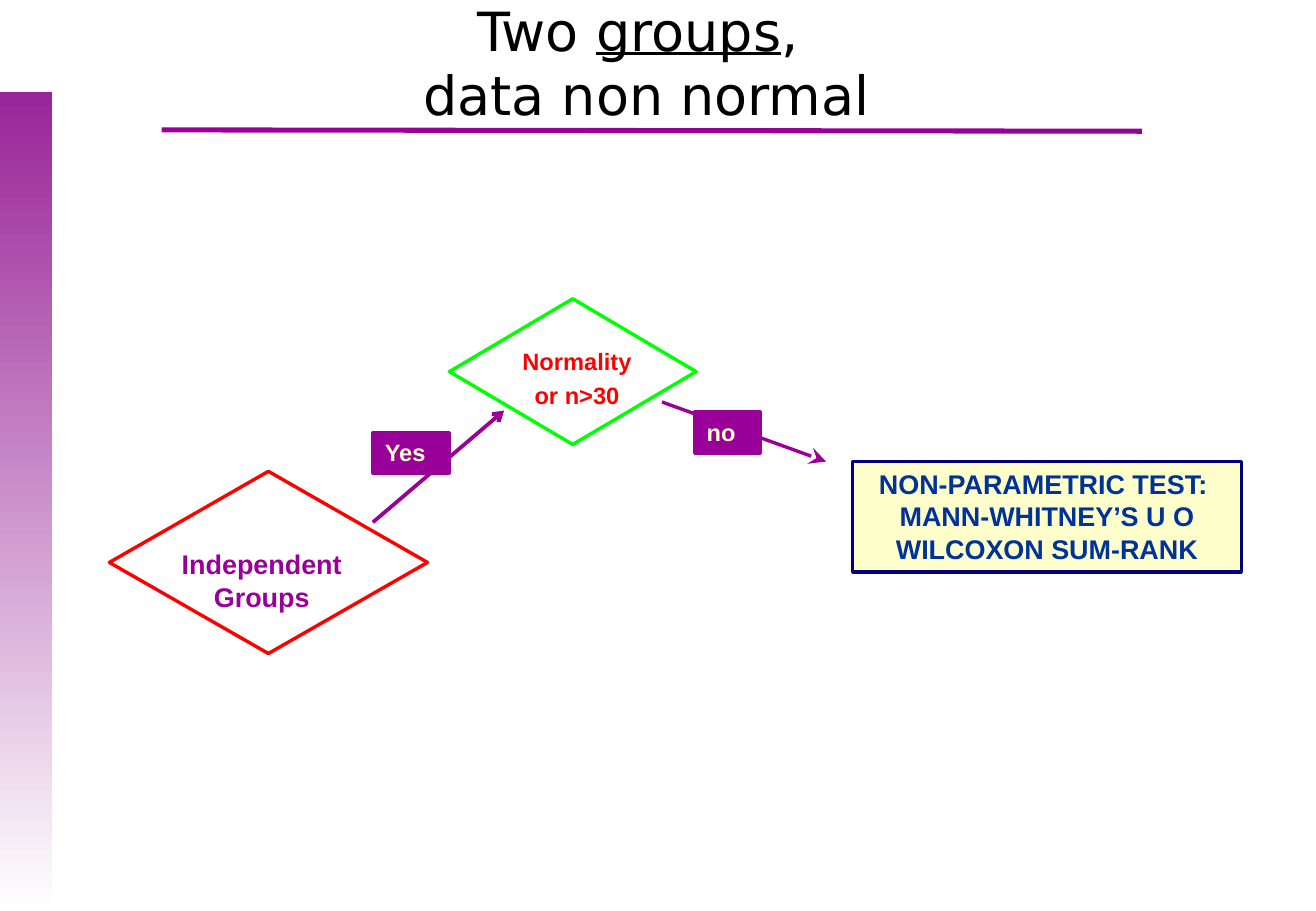
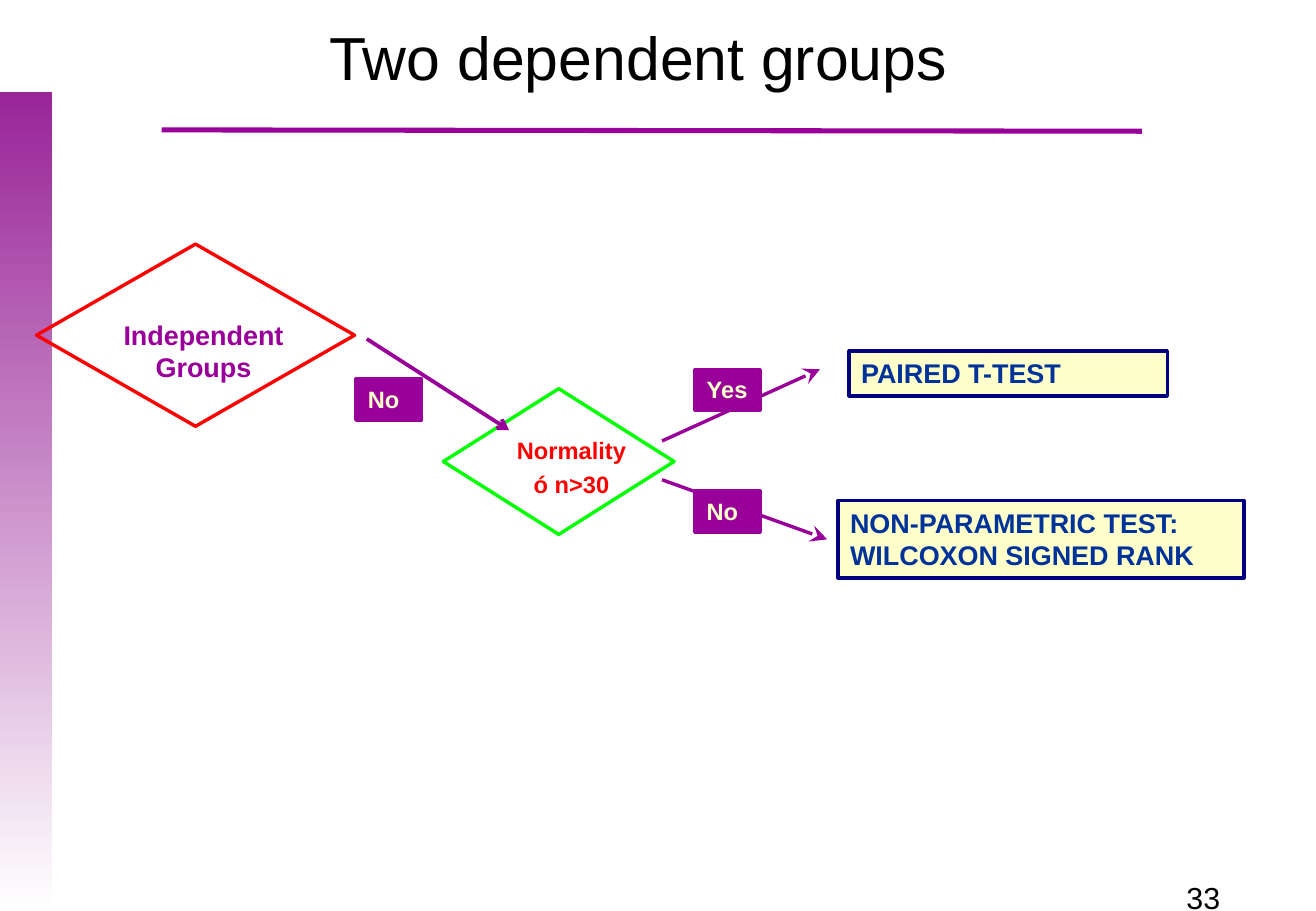
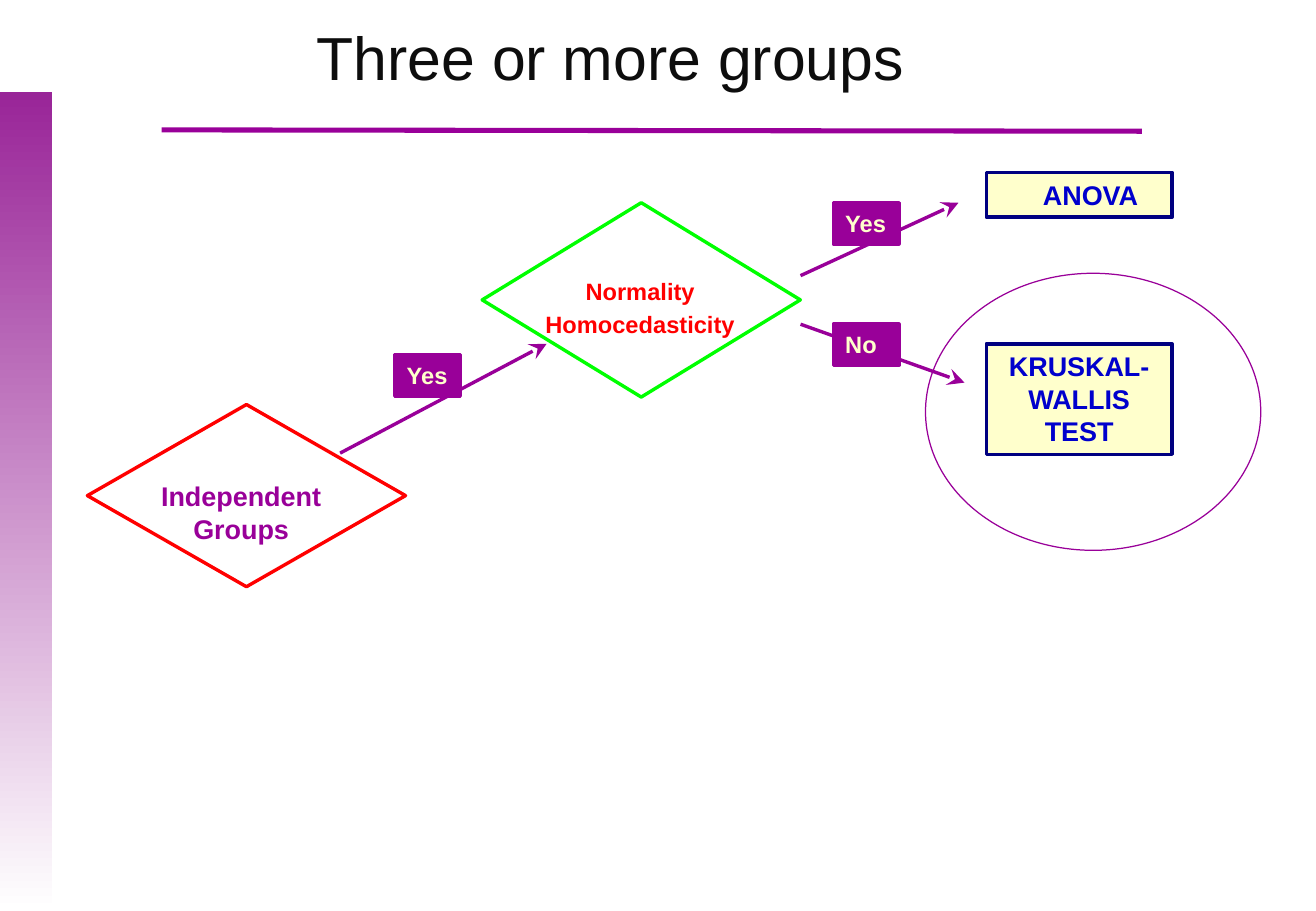
from lxml import etree
from pptx import Presentation
from pptx.dml.color import RGBColor
from pptx.enum import shapes, text
from pptx.oxml import ns
from pptx.util import Pt

PURPLE = RGBColor(0x99, 0x00, 0x99)
BAND_TOP = RGBColor(0x99, 0x25, 0x98)
WHITE = RGBColor(0xFF, 0xFF, 0xFF)
CREAM = RGBColor(0xFF, 0xFF, 0xCC)
NAVY = RGBColor(0x00, 0x00, 0x80)
BLUE = RGBColor(0x00, 0x33, 0x99)
BRIGHT_BLUE = RGBColor(0x00, 0x00, 0xCC)
RED = RGBColor(0xFF, 0x00, 0x00)
GREEN = RGBColor(0x00, 0xFF, 0x00)
BLACK = RGBColor(0x00, 0x00, 0x00)
NEAR_BLACK = RGBColor(0x0D, 0x0D, 0x0D)

BODY_FONT = {"name": "Arial", "size": Pt(16), "bold": True}
SMALL_FONT = {**BODY_FONT, "size": Pt(14)}
TITLE_FONT = {"name": "Arial", "size": Pt(36)}
NUMBER_FONT = {"name": "Arial", "size": Pt(18)}
TOP_FRAME = {"word_wrap": True, "vertical_anchor": text.MSO_ANCHOR.TOP}
MIDDLE_FRAME = {"word_wrap": True, "vertical_anchor": text.MSO_ANCHOR.MIDDLE}
LEFT, CENTER = text.PP_ALIGN.LEFT, text.PP_ALIGN.CENTER

GROUPS_SIZE = (188.6, 108)
LABEL_HEIGHT = 24.5


def apply(target, values):
    for name, value in values.items():
        setattr(target, name, value)


def write(shape, paragraphs, font, color, align=CENTER, frame=TOP_FRAME):
    """Fill a shape with text; \\n breaks a line and _word_ is underlined."""
    text_frame = shape.text_frame
    apply(text_frame, frame)
    for number, content in enumerate(paragraphs):
        paragraph = text_frame.add_paragraph() if number else text_frame.paragraphs[0]
        paragraph.alignment = align
        if number:
            paragraph.space_before = Pt(3)
        for row, line in enumerate(content.split("\n")):
            if row:
                paragraph.add_line_break()
            for position, part in enumerate(line.split("_")):
                if part:
                    run = paragraph.add_run()
                    run.text = part
                    apply(run.font, font)
                    run.font.color.rgb = color
                    if position % 2:
                        run.font.underline = True


def add_text(slide, box, paragraphs, font, color, **layout):
    write(slide.shapes.add_textbox(*map(Pt, box)), paragraphs, font, color, **layout)


def add_outline(slide, kind, box, line_color, width=2, fill=None):
    shape = slide.shapes.add_shape(kind, *map(Pt, box))
    shape.shadow.inherit = False
    shape.line.color.rgb = line_color
    shape.line.width = Pt(width)
    if fill is None:
        shape.fill.background()
    else:
        shape.fill.solid()
        shape.fill.fore_color.rgb = fill
    return shape


def add_line(slide, start, end, width):
    line = slide.shapes.add_connector(
        shapes.MSO_CONNECTOR.STRAIGHT, *map(Pt, (*start, *end)))
    line.line.color.rgb = PURPLE
    line.line.width = Pt(width)
    etree.SubElement(line._element.spPr, ns.qn("a:effectLst"))
    return line


def add_arrow(slide, start, end, width=2, head="stealth", size="lg"):
    arrow = add_line(slide, start, end, width)
    etree.SubElement(arrow.line._get_or_add_ln(), ns.qn("a:tailEnd"),
                     type=head, w=size, len=size)


def add_label(slide, left, top, answer, width=38.9):
    label = add_outline(slide, shapes.MSO_SHAPE.RECTANGLE,
                        (left, top, width, LABEL_HEIGHT), PURPLE, fill=PURPLE)
    write(label, [answer], SMALL_FONT, CREAM, LEFT,
          {**TOP_FRAME, "margin_right": Pt(0)})


def add_test(slide, box, name, color=BLUE, align=CENTER, indent=7.2):
    """Add the cream box that names the test to use."""
    test = add_outline(slide, shapes.MSO_SHAPE.RECTANGLE, box, NAVY, fill=CREAM)
    write(test, [name], BODY_FONT, color, align,
          {**TOP_FRAME, "margin_left": Pt(indent)})


def add_groups_decision(slide, left, top, text_left, text_top):
    add_outline(slide, shapes.MSO_SHAPE.FLOWCHART_DECISION,
                (left, top, *GROUPS_SIZE), RED)
    add_text(slide, (text_left, text_top, 164.9, 46), ["Independent\nGroups"],
             BODY_FONT, PURPLE)


def add_normality_decision(slide, box, text_box, conditions):
    add_outline(slide, shapes.MSO_SHAPE.FLOWCHART_DECISION, box, GREEN)
    add_text(slide, text_box, conditions, SMALL_FONT, RED)


def add_base(prs):
    """Add a slide with the side band and the rule under the title."""
    slide = prs.slides.add_slide(prs.slide_layouts[6])
    band = slide.shapes.add_shape(shapes.MSO_SHAPE.RECTANGLE,
                                  *map(Pt, (0, 54.7, 31, 485.3)))
    band.shadow.inherit = False
    band.line.fill.background()
    band.fill.gradient()
    band.fill.gradient_angle = 270
    for stop, color, position in zip(band.fill.gradient_stops, (BAND_TOP, WHITE), (0, 1)):
        stop.color.rgb = color
        stop.position = position
    add_line(slide, (95.8, 77), (676.8, 77.8), 3)
    return slide


def add_title(slide, box, title, color=BLACK, font=TITLE_FONT):
    add_text(slide, box, [title], font, color, frame=MIDDLE_FRAME)


def build_two_groups(prs):
    slide = add_base(prs)
    add_title(slide, (145.4, 3.6, 475.9, 66.2), "Two _groups_, \ndata non normal",
              font={"name": "DejaVu Sans", "size": Pt(32)})
    add_test(slide, (505.4, 273.6, 230.4, 65.5),
             "NON-PARAMETRIC TEST: \nMANN-WHITNEY’S U O\nWILCOXON SUM-RANK")
    add_groups_decision(slide, 64.8, 279.4, 72.7, 321.1)
    add_arrow(slide, (221, 309.6), (298.8, 243.4), 2.25, "arrow", "med")
    add_label(slide, 221, 256.3, "Yes", 45.4)
    add_normality_decision(slide, (266.4, 177.1, 146.2, 86.4),
                           (274.3, 202.3, 135.4, 44.6), ["Normality", "or n>30"])
    add_arrow(slide, (392.4, 238.3), (489.6, 273.6))
    add_label(slide, 411.8, 244.1, "no")


def build_dependent_groups(prs):
    slide = add_base(prs)
    add_text(slide, (696.2, 517.7, 83.5, 22.3), ["33"], NUMBER_FONT, BLACK, align=LEFT)
    add_title(slide, (134.6, 0, 487.4, 66.2), "Two dependent groups")
    add_groups_decision(slide, 21.6, 144.7, 38.2, 185)
    add_test(slide, (503.3, 208.1, 188.6, 26.6), "PAIRED T-TEST", align=LEFT)
    add_test(slide, (496.8, 296.6, 240.5, 46.1),
             "NON-PARAMETRIC TEST:\nWILCOXON SIGNED RANK", align=LEFT)
    add_normality_decision(slide, (262.8, 230.4, 136.8, 86.4),
                           (262.8, 254.9, 151.9, 44.6), ["Normality", "ó n>30"])
    add_arrow(slide, (392.4, 261.4), (486, 218.9))
    add_label(slide, 411.8, 218.9, "Yes")
    add_arrow(slide, (392.4, 284.4), (490.3, 319.7))
    add_label(slide, 411.8, 290.9, "No")
    add_label(slide, 211, 224.6, "No")
    add_arrow(slide, (217.4, 200.9), (301.7, 254.9), 2.25, "arrow", "med")


def build_three_groups(prs):
    slide = add_base(prs)
    add_test(slide, (584.6, 102.2, 110.2, 26.6), "ANOVA", BRIGHT_BLUE, indent=20.5)
    add_test(slide, (584.6, 203.8, 110.2, 65.5), "KRUSKAL-\nWALLIS\nTEST", BRIGHT_BLUE)
    add_groups_decision(slide, 51.8, 239.8, 60.5, 280.8)
    add_arrow(slide, (201.6, 268.6), (324, 203.8))
    add_label(slide, 234, 210.2, "Yes")
    add_normality_decision(slide, (285.8, 120.2, 188.6, 115.2),
                           (292.3, 160.6, 174.2, 44.6), ["Normality", "Homocedasticity"])
    add_arrow(slide, (474.5, 163.4), (568.1, 120.2))
    add_label(slide, 493.9, 120.2, "Yes")
    add_arrow(slide, (474.5, 192.2), (571.7, 226.8))
    add_label(slide, 493.9, 192.2, "No")
    add_title(slide, (123.8, 0, 475.9, 66.2), "Three or more groups", NEAR_BLACK)
    add_outline(slide, shapes.MSO_SHAPE.OVAL, (548.6, 162, 198.7, 164.2), PURPLE, 0.75)


def main():
    prs = Presentation()
    prs.slide_width, prs.slide_height = Pt(780), Pt(540)
    build_two_groups(prs)
    build_dependent_groups(prs)
    build_three_groups(prs)
    prs.save("out.pptx")


if __name__ == "__main__":
    main()
